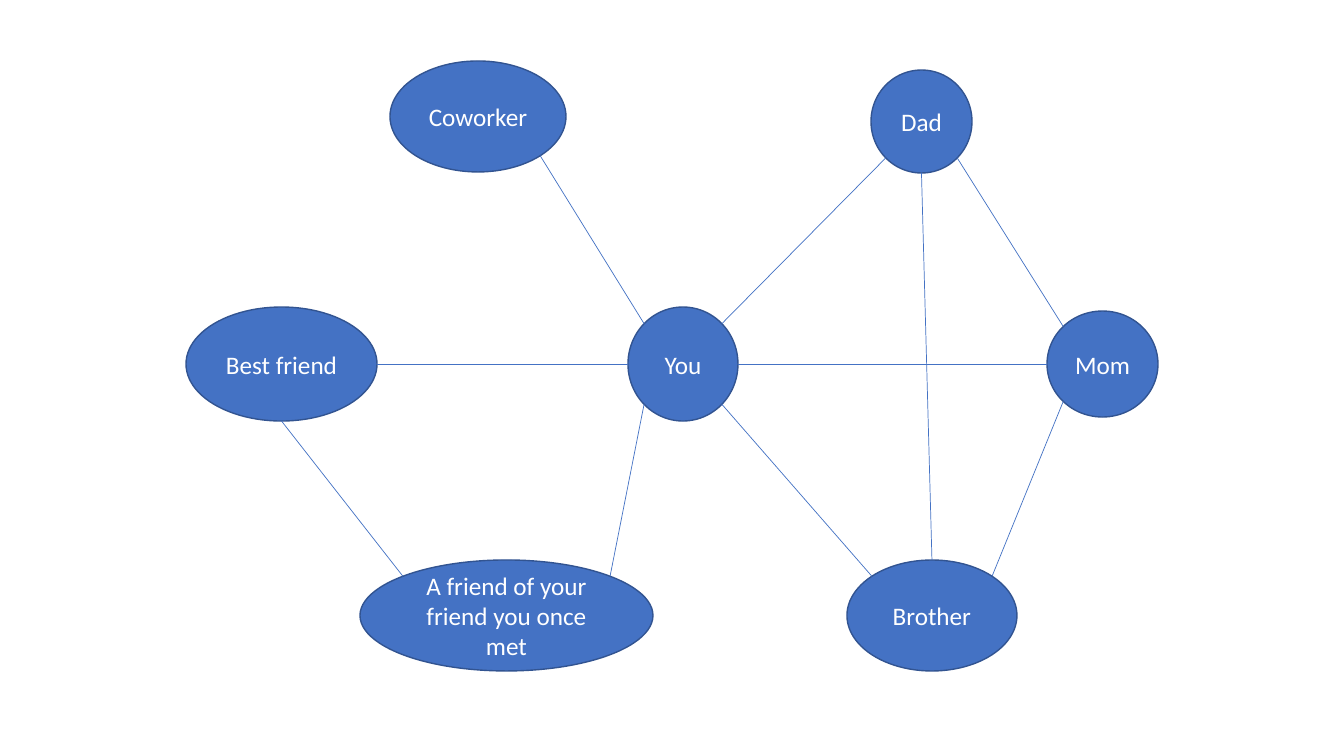
from math import cos, radians, sin

from pptx import Presentation
from pptx.dml.color import RGBColor
from pptx.enum.shapes import MSO_CONNECTOR as LINK, MSO_SHAPE as SHAPE
from pptx.enum.text import MSO_ANCHOR as ANCHOR, PP_ALIGN as ALIGN
from pptx.oxml.ns import qn
from pptx.util import Pt

PX = 914400 / 100.8  # EMU in one px
BLUE = RGBColor(0x44, 0x72, 0xC4)
NAVY = RGBColor(0x32, 0x54, 0x91)
WHITE = RGBColor(0xFF, 0xFF, 0xFF)

# Connection sites of an ellipse, counterclockwise from the top
SITES = ["N", "NW", "W", "SW", "S", "SE", "E", "NE"]

# Name: left, top, width, height in px
PEOPLE = {
    "You": (628, 307, 110, 114),
    "Coworker": (390, 61, 176, 111),
    "Dad": (871, 70, 101, 103),
    "Best friend": (186, 307, 191, 114),
    "A friend of your friend you once met": (360, 560, 293, 111),
    "Brother": (847, 560, 170, 111),
    "Mom": (1047, 311, 111, 106),
}

# From, site, to, site
TIES = [
    ("You", "NE", "Dad", "SW"),
    ("You", "NW", "Coworker", "SE"),
    ("Best friend", "E", "You", "W"),
    ("A friend of your friend you once met", "NE", "You", "SW"),
    ("You", "SE", "Brother", "NW"),
    ("You", "E", "Mom", "W"),
    ("Dad", "SE", "Mom", "NW"),
    ("Dad", "S", "Brother", "N"),
    ("Brother", "NE", "Mom", "SW"),
    ("Best friend", "S", "A friend of your friend you once met", "NW"),
]


def emu(px):
    return round(px * PX)


def write(shape, text, size=18, font="Calibri", color=WHITE, align=ALIGN.CENTER):
    frame = shape.text_frame
    frame.word_wrap = True
    frame.vertical_anchor = ANCHOR.MIDDLE
    para = frame.paragraphs[0]
    para.alignment = align
    run = para.add_run()
    run.text = text
    run.font.size = Pt(size)
    run.font.name = font
    run.font.color.rgb = color


def add_node(slide, name, box):
    node = slide.shapes.add_shape(SHAPE.OVAL, *map(emu, box))
    node.shadow.inherit = False
    node.fill.solid()
    node.fill.fore_color.rgb = BLUE
    node.line.color.rgb = NAVY
    node.line.width = Pt(1)
    write(node, name)
    return node


def find_site(node, site):
    turn = radians(90 + 45 * SITES.index(site))
    return (round(node.left + node.width / 2 * (1 + cos(turn))),
            round(node.top + node.height / 2 * (1 - sin(turn))))


def add_tie(slide, start, exit_site, end, entry_site):
    tie = slide.shapes.add_connector(
        LINK.STRAIGHT, *find_site(start, exit_site), *find_site(end, entry_site))
    tie.line.color.rgb = BLUE
    tie.line.width = Pt(0.5)
    props = tie._element.spPr
    props.append(props.makeelement(qn("a:effectLst"), {}))
    # Attach both ends, so that the line follows its nodes
    links = tie._element.nvCxnSpPr.cNvCxnSpPr
    for tag, node, site in (("a:stCxn", start, exit_site), ("a:endCxn", end, entry_site)):
        glue = {"id": str(node.shape_id), "idx": str(SITES.index(site))}
        links.append(links.makeelement(qn(tag), glue))


def main():
    deck = Presentation()
    deck.slide_width, deck.slide_height = emu(1344), emu(756)
    slide = deck.slides.add_slide(deck.slide_layouts.get_by_name("Blank"))

    # People
    nodes = {name: add_node(slide, name, box) for name, box in PEOPLE.items()}

    # Ties between them
    for start, exit_site, end, entry_site in TIES:
        add_tie(slide, nodes[start], exit_site, nodes[end], entry_site)

    deck.save("out.pptx")


if __name__ == "__main__":
    main()
